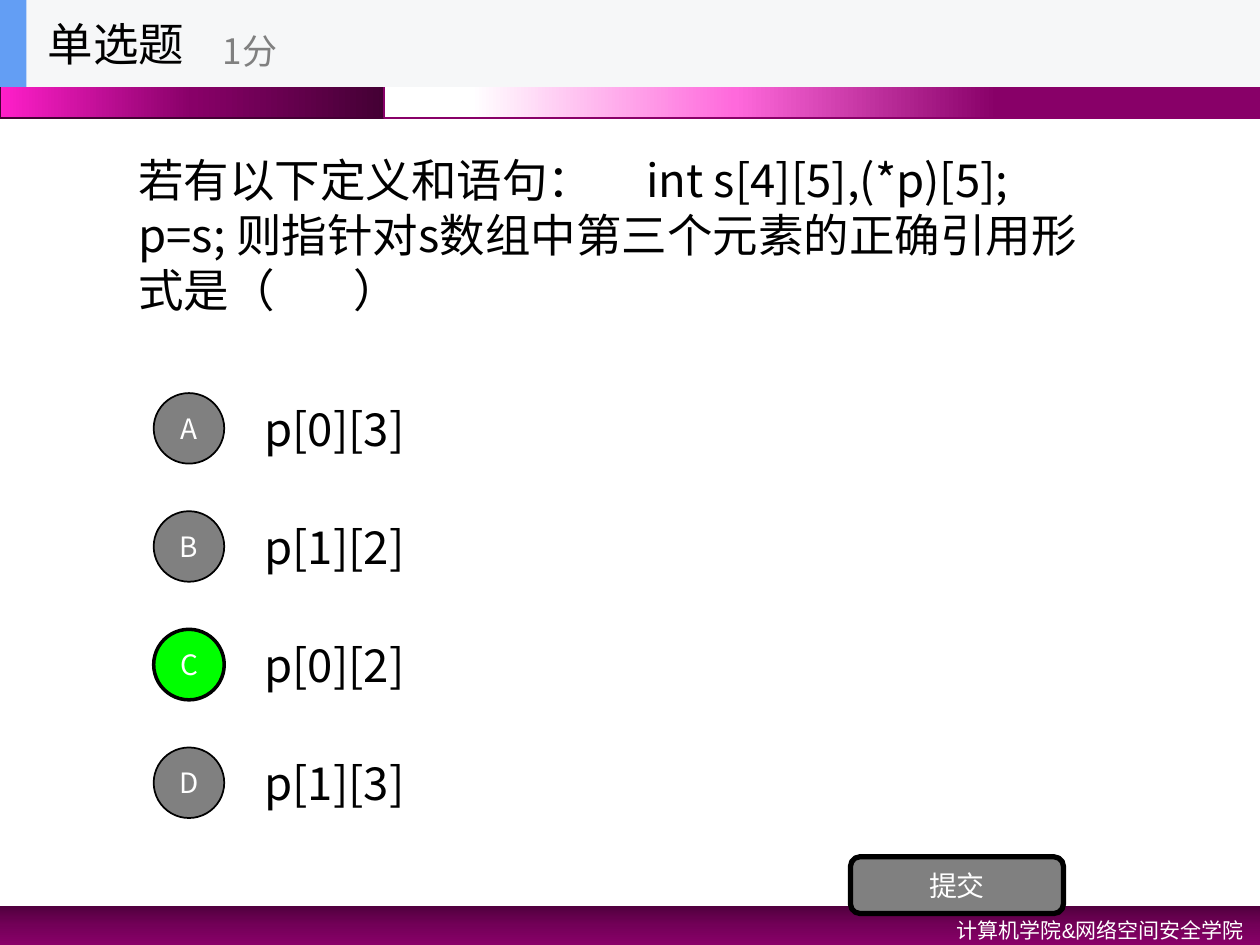
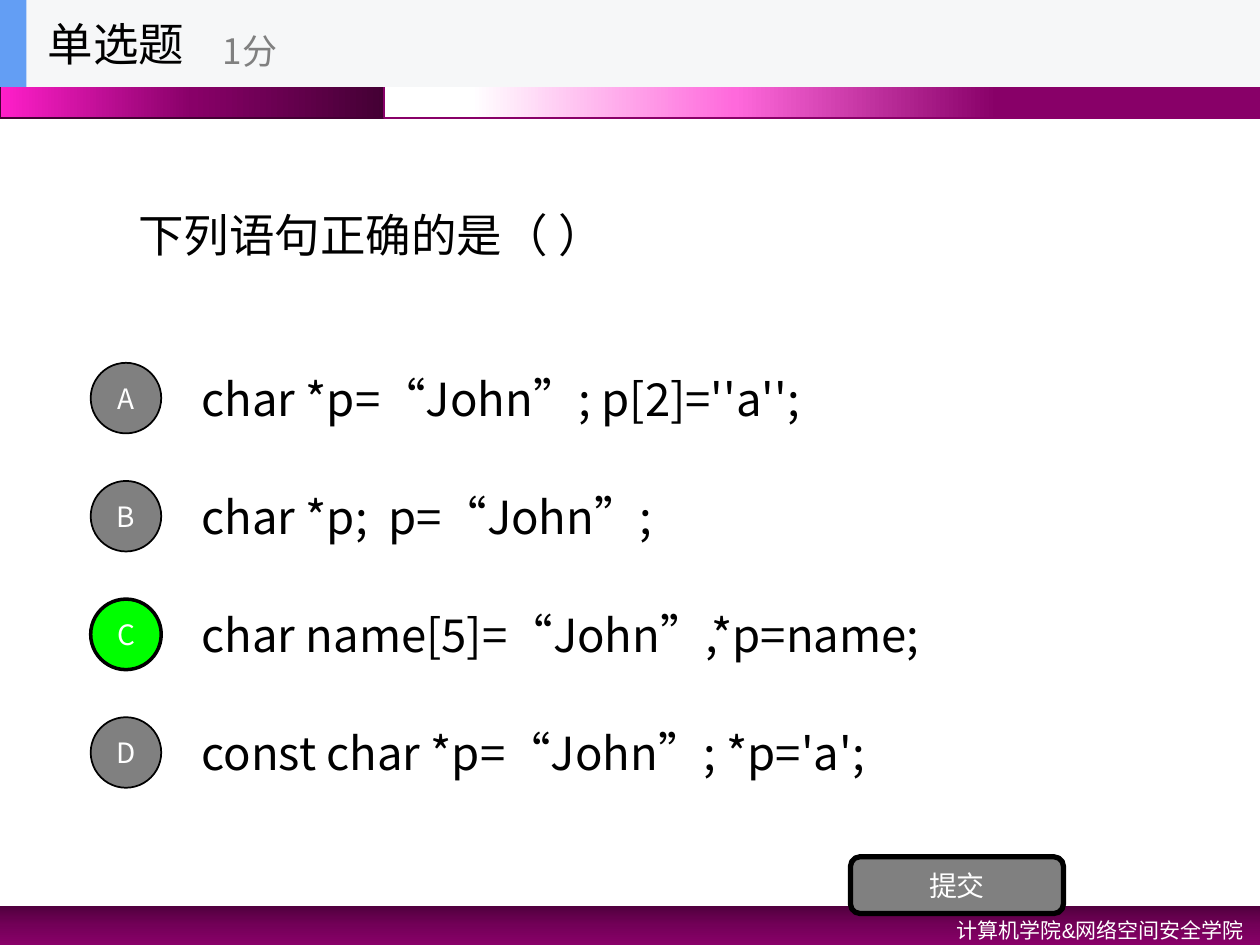
from lxml import etree
from pptx import Presentation
from pptx import util as u
from pptx.dml.color import RGBColor
from pptx.enum import shapes, text
from pptx.oxml.ns import qn

QUIZ = [
    {"ask": ["若有以下定义和语句：\tint s[4][5],(*p)[5];",
             "p=s; 则指针对s数组中第三个元素的正确引用形式是（\t）"],
     "stops": (4.03, 1.71), "left": 2, "top": 3.05, "key": "C",
     "picks": [("p[0][3]", 7), ("p[1][2]", 7), ("p[0][2]", 7), ("p[1][3]", 7)]},
    {"ask": ["下列语句正确的是（ ）"],
     "stops": (), "left": 1.5, "top": 2.81, "key": "C",
     "picks": [("char *p=“John”; p[2]=''a'';", 7),
               ("char *p;  p=“John”;", 7),
               ("char name[5]=“John”,*p=name;", 7.86),
               ("const char *p=“John”; *p='a';", 8.36)]},
]
HEAD, MARK, SEND = "单选题", "1分", "提交"
FOOT = "计算机学院&网络空间安全学院"

WIDE, HIGH = 10, 7.5
BAR, BAND, SPLIT, BASE = 0.69, 0.94, 3.05, 7.19
STEP, DOT, ROW = 0.9375, 0.56, 0.7

BLACK = RGBColor(0, 0, 0)
WHITE = RGBColor(0xFF, 0xFF, 0xFF)
GREY = RGBColor(0x80, 0x80, 0x80)
GREEN = RGBColor(0, 0xFF, 0)
PALE = RGBColor(0xF6, 0xF7, 0xF8)
BLUE = RGBColor(0x63, 0x9E, 0xF4)
PLUM = RGBColor(0x88, 0x00, 0x68)
DARK = RGBColor(0x44, 0x00, 0x34)
DEEP = RGBColor(0x51, 0x00, 0x3E)
WINE = RGBColor(0x73, 0x00, 0x58)
HOT = RGBColor(0xFF, 0x1F, 0xCA)
PINK = RGBColor(0xFF, 0x69, 0xDC)
SANS = "Noto Sans CJK SC"

# box, angle, stops, outline
BANDS = [
    ((0, BASE, WIDE, HIGH - BASE), 90, [(0, DEEP), (50, WINE), (100, PLUM)], None),
    ((0, 0, SPLIT, BAND), 180, [(0, DARK), (50, PLUM), (100, HOT)], DARK),
    ((SPLIT, 0, WIDE - SPLIT, BAND), 180, [(30, PLUM), (60, PINK), (90, WHITE)], PLUM),
]


def inch(box):
    return [u.Inches(n) for n in box]


def put(par, words, size, color, font=SANS):
    """Add one run, with the same typeface rule for Latin and Chinese."""
    run = par.add_run()
    run.text = words
    run.font.size = u.Pt(size)
    run.font.name = font
    run.font.color.rgb = color
    etree.SubElement(run.font._element, qn("a:ea"), typeface=SANS)


def shape(home, kind, box, fill=None, line=None, width=1):
    item = home.add_shape(kind, *inch(box))
    item.shadow.inherit = False
    if fill is None:
        item.fill.background()
    else:
        item.fill.solid()
        item.fill.fore_color.rgb = fill
    if line is None:
        item.line.fill.background()
    else:
        item.line.color.rgb = line
        item.line.width = u.Pt(width)
    return item


def blend(item, angle, stops):
    """Swap the empty fill of a shape for a linear gradient."""
    grad = etree.Element(qn("a:gradFill"), rotWithShape="1")
    group = etree.SubElement(grad, qn("a:gsLst"))
    for share, color in stops:
        stop = etree.SubElement(group, qn("a:gs"), pos=str(share * 1000))
        etree.SubElement(stop, qn("a:srgbClr"), val=str(color))
    etree.SubElement(grad, qn("a:lin"), ang=str(angle * 60000), scaled="0")
    props = item._element.spPr
    props.replace(props.find(qn("a:noFill")), grad)


def label(item, words):
    frame = item.text_frame
    frame.vertical_anchor = text.MSO_ANCHOR.MIDDLE
    frame.margin_left = frame.margin_right = 0
    par = frame.paragraphs[0]
    par.alignment = text.PP_ALIGN.CENTER
    put(par, words, 16, WHITE)


def note(home, box, lines, size=26, color=BLACK, wrap=True):
    """Place a middle-anchored text box and return its paragraph."""
    frame = home.add_textbox(*inch(box)).text_frame
    frame.word_wrap = wrap
    frame.vertical_anchor = text.MSO_ANCHOR.MIDDLE
    par = frame.paragraphs[0]
    for i, words in enumerate(lines):
        if i:
            par.add_line_break()
        put(par, words, size, color)
    return par


def tabs(par, stops):
    group = etree.SubElement(par._p.get_or_add_pPr(), qn("a:tabLst"))
    for stop in sorted(stops):
        etree.SubElement(group, qn("a:tab"), pos=str(u.Inches(stop)), algn="l")


def frame(home):
    """Draw the bands and the footer behind the question."""
    for box, angle, stops, line in BANDS:
        blend(shape(home, shapes.MSO_SHAPE.RECTANGLE, box, line=line), angle, stops)
    foot = home.add_textbox(*inch((6.42, BASE, 3.55, 0.32))).text_frame
    foot.word_wrap = True
    par = foot.paragraphs[0]
    par.alignment = text.PP_ALIGN.RIGHT
    par.line_spacing = 1.2
    put(par, FOOT, 12, WHITE, "Arial")


def header(home):
    group = home.add_group_shape().shapes
    for width, fill in ((WIDE, PALE), (0.21, BLUE)):
        shape(group, shapes.MSO_SHAPE.RECTANGLE, (0, 0, width, BAR), fill)
    note(group, (0.28, 0, 2.08, BAR), [HEAD], wrap=False)
    note(group, (1.67, 0.12, 2.5, 0.56), [MARK], 20, GREY, wrap=False)


def build(home, quiz):
    frame(home)
    par = note(home, (1, BAR, 8, 2.34), quiz["ask"])
    if quiz["stops"]:
        tabs(par, quiz["stops"])
    for i, (words, width) in enumerate(quiz["picks"]):
        top, name = quiz["top"] + i * STEP, "ABCD"[i]
        right = name == quiz["key"]
        note(home, (quiz["left"], top, width, ROW), [words])
        dot = shape(home, shapes.MSO_SHAPE.OVAL,
                    (quiz["left"] - 0.78, top + (ROW - DOT) / 2, DOT, DOT),
                    GREEN if right else GREY, BLACK, 2 if right else 1)
        label(dot, name)
    send = shape(home, shapes.MSO_SHAPE.ROUNDED_RECTANGLE,
                 (6.75, 6.8, 1.69, 0.45), GREY, BLACK, 3)
    label(send, SEND)
    header(home)


def main():
    deck = Presentation()
    deck.slide_width, deck.slide_height = inch((WIDE, HIGH))
    for quiz in QUIZ:
        build(deck.slides.add_slide(deck.slide_layouts[6]).shapes, quiz)
    deck.save("out.pptx")


if __name__ == "__main__":
    main()
